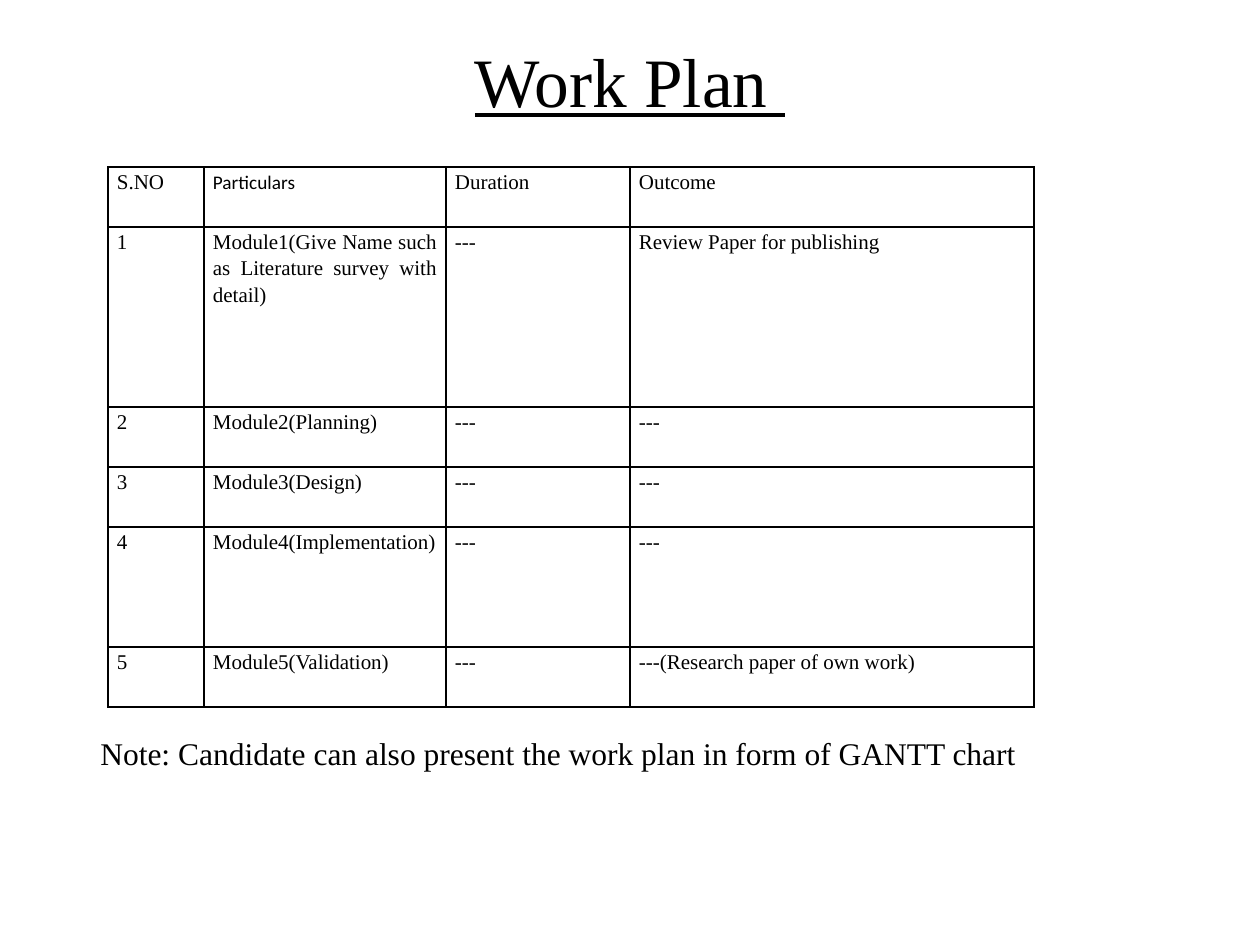
from lxml import etree
from pptx import Presentation
from pptx.dml.color import RGBColor
from pptx.enum.text import MSO_ANCHOR, PP_ALIGN
from pptx.oxml.ns import qn
from pptx.util import Emu, Pt

BLACK = RGBColor(0, 0, 0)
SERIF = "Times New Roman"
SANS = "Calibri"
TOP = MSO_ANCHOR.TOP
LEFT, CENTER, JUSTIFY = PP_ALIGN.LEFT, PP_ALIGN.CENTER, PP_ALIGN.JUSTIFY
BORDER_SIDES = ("a:lnL", "a:lnR", "a:lnT", "a:lnB")

WIDTH, HEIGHT = 1260, 945
COLUMN_WIDTHS = (96, 242, 184, 404)
ROW_HEIGHTS = (60, 180, 60, 60, 120, 60)
WORK_PLAN = (
    ("S.NO", "Particulars", "Duration", "Outcome"),
    ("1", "Module1(Give Name such as Literature survey with detail)", "---",
     "Review Paper for publishing"),
    ("2", "Module2(Planning)", "---", "---"),
    ("3", "Module3(Design)", "---", "---"),
    ("4", "Module4(Implementation)", "---", "---"),
    ("5", "Module5(Validation)", "---", "---(Research paper of own work)"),
)


def px(n):
    return Emu(round(n * 914400 / 126))


class SlideBuilder:
    def __init__(self, slide, color=BLACK, font=SERIF):
        self.s = slide
        self.color = color
        self.font = font

    def run(self, p, text, size, font=None, underline=False):
        r = p.add_run()
        r.text = text
        r.font.name = font or self.font
        r.font.size = Pt(size)
        r.font.color.rgb = self.color
        r.font.underline = underline

    def text(self, box, text, size, align=LEFT, inset=6, underline=False):
        sp = self.s.shapes.add_textbox(*map(px, box))
        tf = sp.text_frame
        tf.word_wrap = True
        tf.vertical_anchor = TOP
        tf.margin_top = tf.margin_bottom = px(inset)
        p = tf.paragraphs[0]
        p.alignment = align
        self.run(p, text, size, underline=underline)

    def border(self, cell):
        tc_pr = cell._tc.get_or_add_tcPr()
        for side in BORDER_SIDES:
            ln = etree.SubElement(tc_pr, qn(side), w=str(Pt(1)))
            fill = etree.SubElement(ln, qn("a:solidFill"))
            etree.SubElement(fill, qn("a:srgbClr"), val=str(self.color))

    def cell(self, cell, text, size, font):
        self.border(cell)
        cell.fill.background()
        cell.margin_left = cell.margin_right = px(9)
        cell.margin_top = cell.margin_bottom = 0
        p = cell.text_frame.paragraphs[0]
        p.alignment = JUSTIFY
        p.line_spacing = 1.15
        self.run(p, text, size, font)

    def table(self, left, top, widths, heights, rows):
        box = (left, top, sum(widths), sum(heights))
        table = self.s.shapes.add_table(len(rows), len(widths), *map(px, box)).table
        table.first_row = table.horz_banding = False
        for column, width in zip(table.columns, widths):
            column.width = px(width)
        for row, height, texts in zip(table.rows, heights, rows):
            row.height = px(height)
            for cell, text in zip(row.cells, texts):
                size, font = (11, SANS) if text == "Particulars" else (12, SERIF)
                self.cell(cell, text, size, font)


def main():
    prs = Presentation()
    prs.slide_width, prs.slide_height = px(WIDTH), px(HEIGHT)
    s = SlideBuilder(prs.slides.add_slide(prs.slide_layouts[6]))
    s.text((63, 38, 1134, 158), "Work Plan ", 39.6, CENTER, inset=0, underline=True)
    s.table(108, 167, COLUMN_WIDTHS, ROW_HEIGHTS, WORK_PLAN)
    s.text((88, 728, 994, 50),
           "Note: Candidate can also present the work plan in form of GANTT chart", 18)
    prs.save("out.pptx")


if __name__ == "__main__":
    main()
